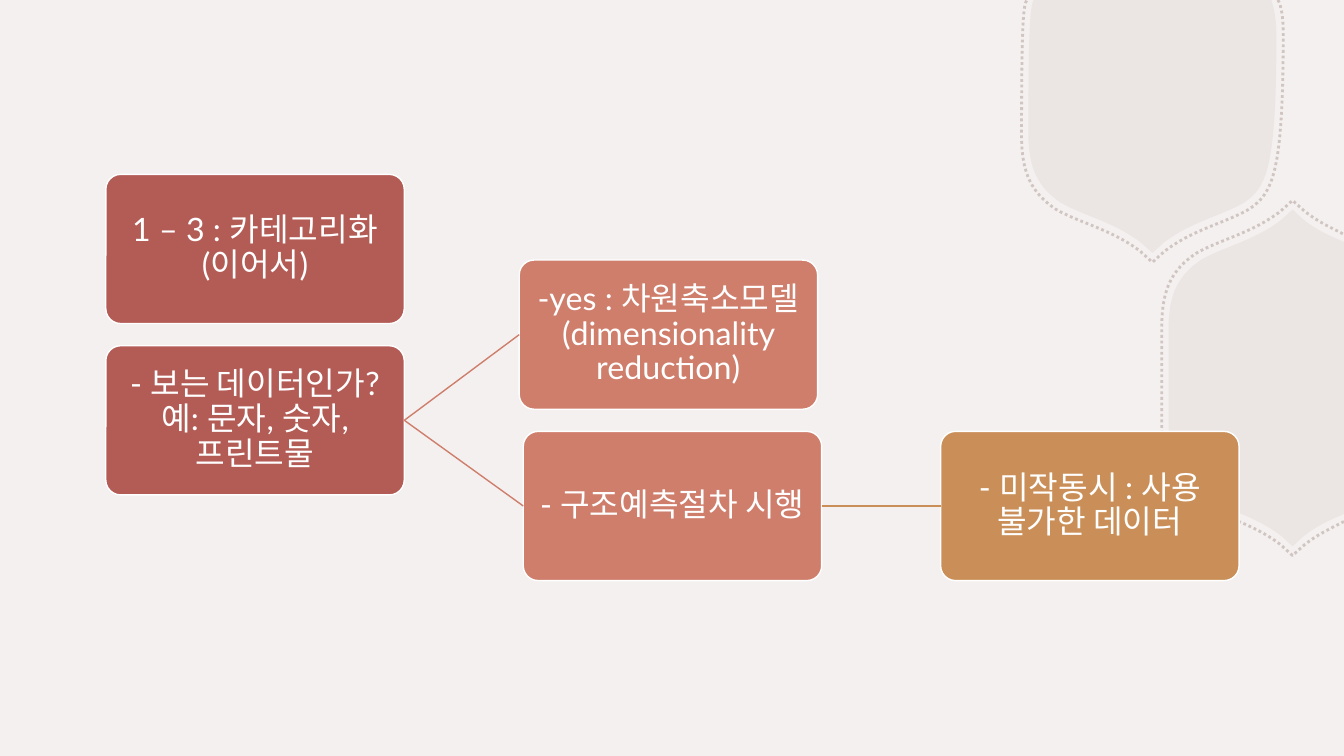
from dataclasses import dataclass

from lxml import etree
from pptx import Presentation
from pptx.dml.color import RGBColor
from pptx.enum.dml import MSO_LINE
from pptx.enum.shapes import MSO_CONNECTOR, MSO_SHAPE
from pptx.enum.text import MSO_ANCHOR, PP_ALIGN
from pptx.oxml.ns import qn
from pptx.util import Inches, Pt

ROUNDED = MSO_SHAPE.ROUNDED_RECTANGLE
STRAIGHT = MSO_CONNECTOR.STRAIGHT
DOTTED = MSO_LINE.ROUND_DOT
MIDDLE = MSO_ANCHOR.MIDDLE
CENTER = PP_ALIGN.CENTER
LEFT_SIDE, RIGHT_SIDE = 1, 3

Point = tuple[float, float]
Segment = list[Point]  # one point for a line, three for a curve


@dataclass(frozen=True)
class Theme:
    background: RGBColor = RGBColor(0xF3, 0xF0, 0xEF)
    ornament: RGBColor = RGBColor(0xBF, 0xAF, 0xAA)
    red: RGBColor = RGBColor(0xB3, 0x5B, 0x55)
    coral: RGBColor = RGBColor(0xCF, 0x7E, 0x6C)
    ochre: RGBColor = RGBColor(0xCA, 0x8F, 0x58)
    white: RGBColor = RGBColor(0xFF, 0xFF, 0xFF)
    font: str = "Lato"
    size: Pt = Pt(23)


@dataclass(frozen=True)
class Box:
    key: str
    text: str
    left: float
    half_row: int
    color: RGBColor


@dataclass(frozen=True)
class Link:
    source: str
    target: str
    color: RGBColor


@dataclass(frozen=True)
class Ornament:
    center: Point
    segments: list[Segment]  # offsets from the centre


THEME = Theme()
SLIDE_W, SLIDE_H = 13.33, 7.5
BOX_W, BOX_H = 2.96, 1.48
TOP, HALF_ROW = 1.73, 0.85
DOT_SCALE = 1.055

BOXES = [
    Box("category", "1 – 3 : 카테고리화(이어서)", 1.05, 0, THEME.red),
    Box("visible", "- 보는 데이터인가? 예: 문자, 숫자,프린트물", 1.05, 2, THEME.red),
    Box("reduction", "-yes : 차원축소모델 (dimensionality reduction)", 5.15, 1, THEME.coral),
    Box("structure", "- 구조예측절차 시행", 5.19, 3, THEME.coral),
    Box("unusable", "- 미작동시 : 사용 불가한 데이터", 9.33, 3, THEME.ochre),
]
LINKS = [
    Link("visible", "reduction", THEME.coral),
    Link("visible", "structure", THEME.coral),
    Link("structure", "unusable", THEME.ochre),
]


def mirror(segments: list[Segment], sx: int, sy: int) -> list[Segment]:
    """Reflect a run of segments and travel it backwards."""
    points = [(sx * x, sy * y) for seg in segments for x, y in seg][::-1]
    lengths = [1] + [len(seg) for seg in segments[:0:-1]]
    result = []
    for length in lengths:
        result.append(points[:length])
        points = points[length:]
    return result


# Lower right quarter, from the straight side to the bottom tip
QUARTER: list[Segment] = [
    [(1.23, 0.48)],
    [(1.23, 0.84), (1.13, 1.02), (0.91, 1.17)],
    [(0.69, 1.30), (0.38, 1.36), (0.11, 1.57)],
    [(0, 1.67)],
]
LOWER_LEFT = mirror(QUARTER, -1, 1)
UPPER_LEFT = [[(-x, -y) for x, y in seg] for seg in QUARTER]
# Where the slide edge cuts the two ornaments
TOP_CUT: list[Segment] = [[(1.18, -0.84)], [(1.21, -0.75), (1.23, -0.64), (1.23, -0.48)]]
EDGE_CUT: list[Segment] = [[(0.51, 1.35)], [(0.37, 1.41), (0.25, 1.46), (0.11, 1.57)]]

ORNAMENTS = [
    Ornament((11.43, 0.84), TOP_CUT + QUARTER[1:] + LOWER_LEFT[1:] + mirror(TOP_CUT, -1, 1)[1:]),
    Ornament((12.82, 3.75), EDGE_CUT + LOWER_LEFT + UPPER_LEFT + mirror(EDGE_CUT, 1, -1)),
]


def set_alpha(shape, percent: int) -> None:
    color = next(shape._element.spPr.iter(qn("a:srgbClr")))
    etree.SubElement(color, qn("a:alpha")).set("val", str(percent * 1000))


def add_outline(slide, ornament: Ornament, scale: float, close: bool):
    cx, cy = ornament.center
    emu = [(Inches(min(cx + scale * x, SLIDE_W)), Inches(max(cy + scale * y, 0)))
           for seg in ornament.segments for x, y in seg]
    builder = slide.shapes.build_freeform(*emu[0])
    builder.add_line_segments(emu[1:], close=close)
    s = builder.convert_to_shape()
    s.shadow.inherit = False
    # Join every three points of a curve into one Bezier segment
    lines = iter(list(s._element.spPr.iter(qn("a:lnTo"))))
    for seg in ornament.segments[1:]:
        parts = [next(lines) for _ in seg]
        if len(parts) == 3:
            parts[0].tag = qn("a:cubicBezTo")
            for part in parts[1:]:
                parts[0].append(part[0])
                part.getparent().remove(part)
    return s


def add_ornament_fill(slide, ornament: Ornament) -> None:
    s = add_outline(slide, ornament, 1, True)
    s.fill.solid()
    s.fill.fore_color.rgb = THEME.ornament
    set_alpha(s, 15)
    s.line.fill.background()


def add_ornament_dots(slide, ornament: Ornament) -> None:
    s = add_outline(slide, ornament, DOT_SCALE, False)
    s.fill.background()
    s.line.color.rgb = THEME.ornament
    s.line.width = Pt(2)
    s.line.dash_style = DOTTED
    set_alpha(s, 65)


def add_box(slide, box: Box):
    s = slide.shapes.add_shape(ROUNDED, Inches(box.left), Inches(TOP + box.half_row * HALF_ROW),
                               Inches(BOX_W), Inches(BOX_H))
    s.adjustments[0] = 0.1
    s.shadow.inherit = False
    s.fill.solid()
    s.fill.fore_color.rgb = box.color
    s.line.color.rgb = THEME.white
    s.line.width = Pt(1)
    tf = s.text_frame
    tf.word_wrap = True
    tf.vertical_anchor = MIDDLE
    tf.margin_left = tf.margin_right = tf.margin_top = tf.margin_bottom = Inches(0.06)
    p = tf.paragraphs[0]
    p.text = box.text
    p.alignment = CENTER
    p.line_spacing = 0.9
    p.font.name = THEME.font
    p.font.size = THEME.size
    p.font.color.rgb = THEME.white
    return s


def add_link(slide, link: Link, shapes: dict) -> None:
    c = slide.shapes.add_connector(STRAIGHT, 0, 0, 0, 0)
    c.begin_connect(shapes[link.source], RIGHT_SIDE)
    c.end_connect(shapes[link.target], LEFT_SIDE)
    c.line.color.rgb = link.color
    c.line.width = Pt(1)
    etree.SubElement(c._element.spPr, qn("a:effectLst"))


def main() -> None:
    prs = Presentation()
    prs.slide_width, prs.slide_height = Inches(SLIDE_W), Inches(SLIDE_H)
    slide = prs.slides.add_slide(prs.slide_layouts[6])
    slide.background.fill.solid()
    slide.background.fill.fore_color.rgb = THEME.background

    # Background ornaments
    for draw in (add_ornament_fill, add_ornament_dots):
        for ornament in ORNAMENTS:
            draw(slide, ornament)

    # Decision tree
    shapes = {box.key: add_box(slide, box) for box in BOXES}
    for link in LINKS:
        add_link(slide, link, shapes)

    prs.save("out.pptx")


if __name__ == "__main__":
    main()
